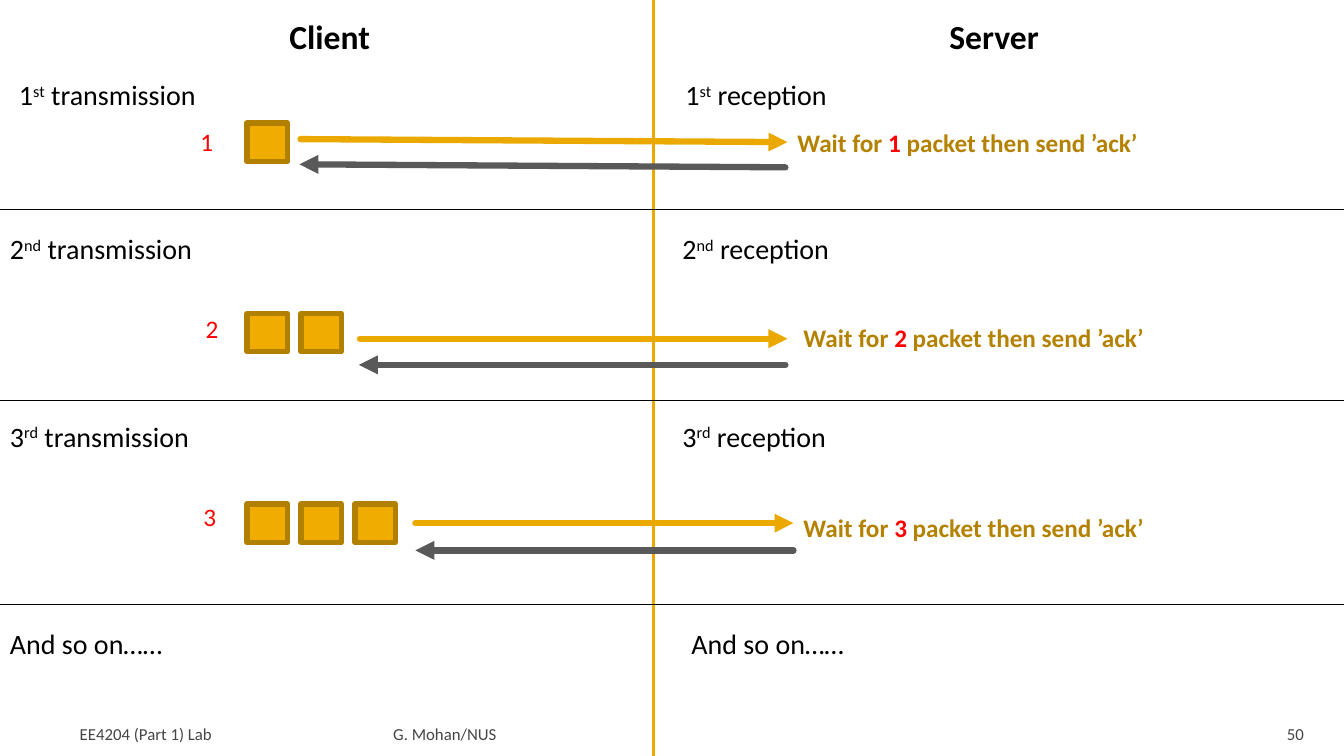
from lxml import etree
from pptx import Presentation
from pptx.dml.color import RGBColor
from pptx.enum.shapes import MSO_CONNECTOR, MSO_SHAPE
from pptx.enum.text import MSO_ANCHOR, MSO_AUTO_SIZE, PP_ALIGN
from pptx.oxml.ns import qn
from pptx.util import Emu, Pt

LINE, RECT = MSO_CONNECTOR.STRAIGHT, MSO_SHAPE.RECTANGLE
TOP, BOTTOM = MSO_ANCHOR.TOP, MSO_ANCHOR.BOTTOM
LEFT, MID, RIGHT = PP_ALIGN.LEFT, PP_ALIGN.CENTER, PP_ALIGN.RIGHT
GROW, FIXED = MSO_AUTO_SIZE.SHAPE_TO_FIT_TEXT, MSO_AUTO_SIZE.NONE

PX = 9144  # 100 px to the inch
WIDE, HIGH = 1333, 750
FONT = "Calibri"
BLACK, GREY, RED = "000000", "454545", "FF0000"
GOLD, EDGE, BROWN, AMBER, STEEL = "F0AD00", "B28000", "B48200", "EBA900", "595959"

# Content
HEADS = [("Client", 222), ("Server", 881)]
FOOT = [  # text, left, width, align, left and right inset
    ("EE4204 (Part 1) Lab", 67, 311, LEFT, (12, 5)),
    ("G. Mohan/NUS", 385, 803, LEFT, (5, 5)),
    ("50", 1196, 107, RIGHT, (10, 10)),
]
ROUNDS = [  # send and ack: x1, y1, x2, y2
    dict(suffix="st", title=(9, 670, 72), count=(189, 120), wait=(781, 121),
         send=(298, 138, 781, 141), ack=(297, 163, 779, 166)),
    dict(suffix="nd", title=(0, 667, 225), count=(194, 306), wait=(787, 315),
         send=(357, 336, 781, 336), ack=(356, 362, 779, 362)),
    dict(suffix="rd", title=(0, 667, 411), count=(192, 492), wait=(787, 503),
         send=(412, 519, 787, 519), ack=(412, 546, 787, 546)),
]
MORE = ("And so on……", (0, 676), 617)
RULES = [208, 397, 600]
SPLIT = 648
BOX_X, BOX_Y, BOX_W, BOX_H = 245, 122, 40, 38
STEP_X, STEP_Y = 53.5, 189

deck = Presentation()
deck.slide_width, deck.slide_height = Emu(WIDE * PX), Emu(HIGH * PX)
slide = deck.slides.add_slide(deck.slide_layouts[6])
shapes = slide.shapes


def px(*vals):
    return [Emu(int(v * PX)) for v in vals]


def rgb(code):
    return RGBColor.from_string(code)


def text(runs, x, y, w, h, size=20, color=BLACK, bold=False, align=LEFT,
         anchor=TOP, inset=(10, 5, 10, 5), fit=GROW):
    """Runs are a string, or a list of (words, color, raised)."""
    frame = shapes.add_textbox(*px(x, y, w, h)).text_frame
    frame.word_wrap, frame.auto_size = True, fit
    frame.vertical_anchor = anchor
    (frame.margin_left, frame.margin_top,
     frame.margin_right, frame.margin_bottom) = px(*inset)
    para = frame.paragraphs[0]
    para.alignment = align
    if isinstance(runs, str):
        runs = [(runs, color, False)]
    for words, tint, raised in runs:
        run = para.add_run()
        run.text = words
        font = run.font
        font.name, font.size, font.bold = FONT, Pt(size), bold
        font.color.rgb = rgb(tint)
        if raised:
            run._r.get_or_add_rPr().set("baseline", "30000")


def line(x1, y1, x2, y2, color, width, end=None):
    item = shapes.add_connector(LINE, *px(x1, y1, x2, y2))
    item.line.color.rgb, item.line.width = rgb(color), Pt(width)
    props = item._element.spPr
    if end:
        ln = props.find(qn("a:ln"))
        ln.set("cap", "rnd")
        etree.SubElement(ln, qn("a:round"))
        etree.SubElement(ln, qn("a:" + end), type="triangle")
    etree.SubElement(props, qn("a:effectLst"))


def packet(x, y):
    box = shapes.add_shape(RECT, *px(x, y, BOX_W, BOX_H))
    box.shadow.inherit = False
    box.fill.solid()
    box.fill.fore_color.rgb = rgb(GOLD)
    box.line.color.rgb, box.line.width = rgb(EDGE), Pt(3.78)
    etree.SubElement(box._element.spPr.find(qn("a:ln")), qn("a:round"))


# Footer
for words, x, w, align, (near, far) in FOOT:
    text(words, x, 708, w, 30, size=12, color=GREY, align=align,
         anchor=BOTTOM, inset=(near, 5, far, 0), fit=FIXED)

# Columns and rules
line(SPLIT, 0, SPLIT, HIGH, AMBER, 2.25)
for words, x in HEADS:
    text(words, x, 11, 210, 50, size=24, bold=True, align=MID)
for y in RULES:
    line(0, y, WIDE, y, BLACK, 0.5)

# Rounds: titles, packets, arrows
for n, part in enumerate(ROUNDS, 1):
    left, right, y = part["title"]
    for x, word in ((left, " transmission"), (right, " reception")):
        text([(str(n), BLACK, False), (part["suffix"], BLACK, True),
              (word, BLACK, False)], x, y, 210, 44)
    for i in range(n):
        packet(BOX_X + i * STEP_X, BOX_Y + (n - 1) * STEP_Y)
    text(str(n), *part["count"], 57, 40, size=18, color=RED)
    text([("Wait for ", BROWN, False), (str(n), RED, False),
          (" packet then send ’ack’", BROWN, False)],
         *part["wait"], 391, 40, size=18, bold=True)
    line(*part["send"], AMBER, 4.5, end="tailEnd")
    line(*part["ack"], STEEL, 4.5, end="headEnd")

# Closing row
words, lefts, y = MORE
for x in lefts:
    text(words, x, y, 210, 44)

deck.save("out.pptx")
